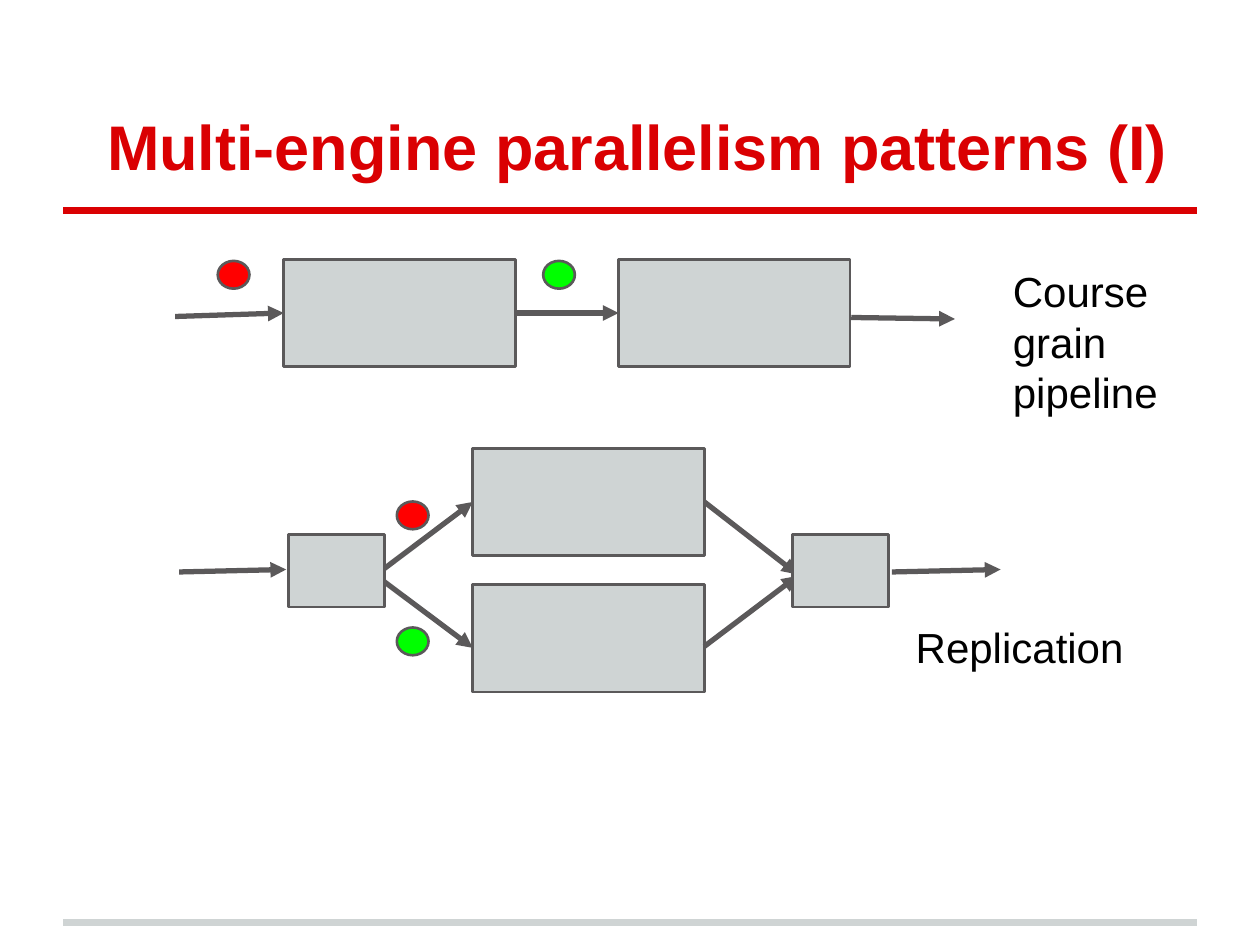
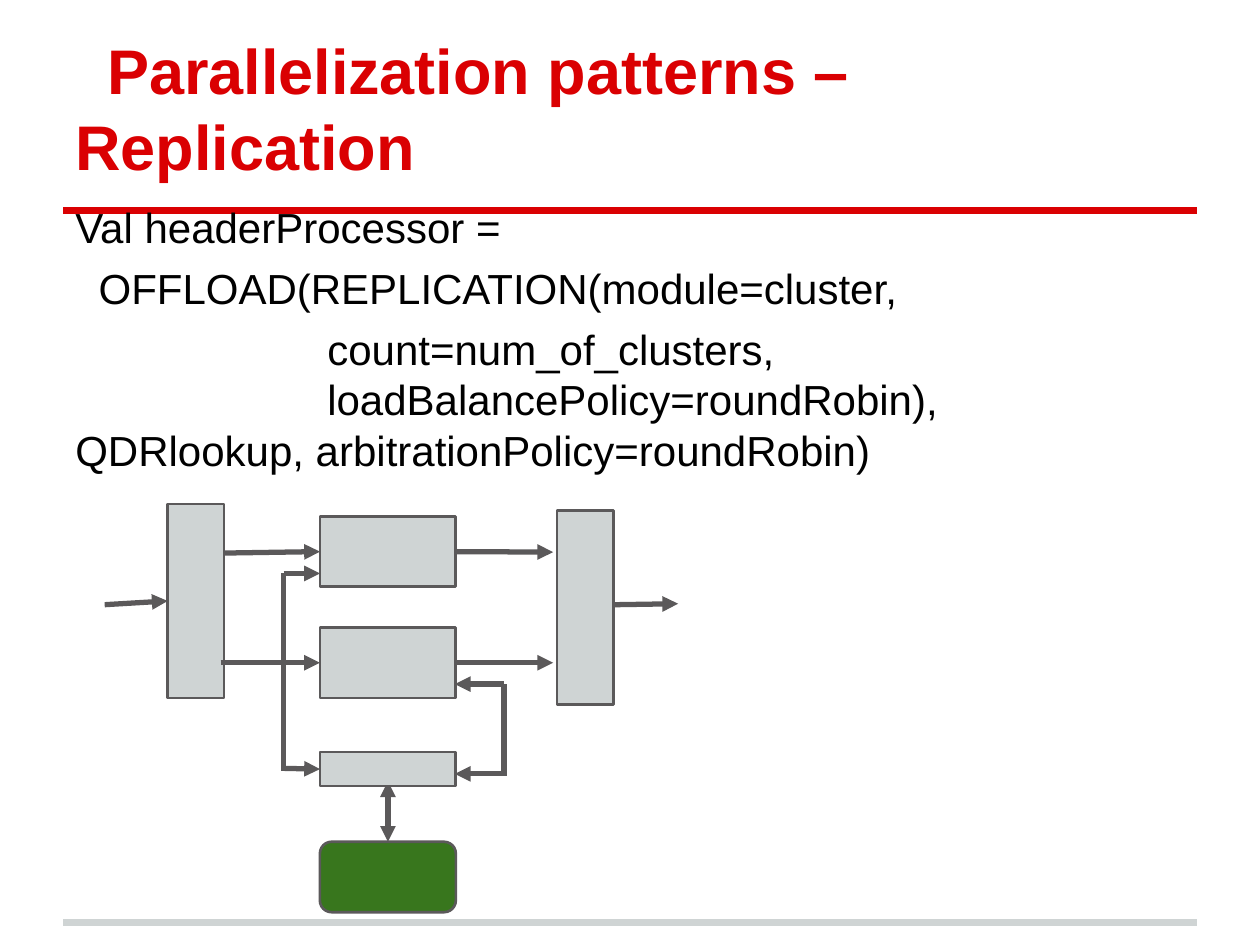
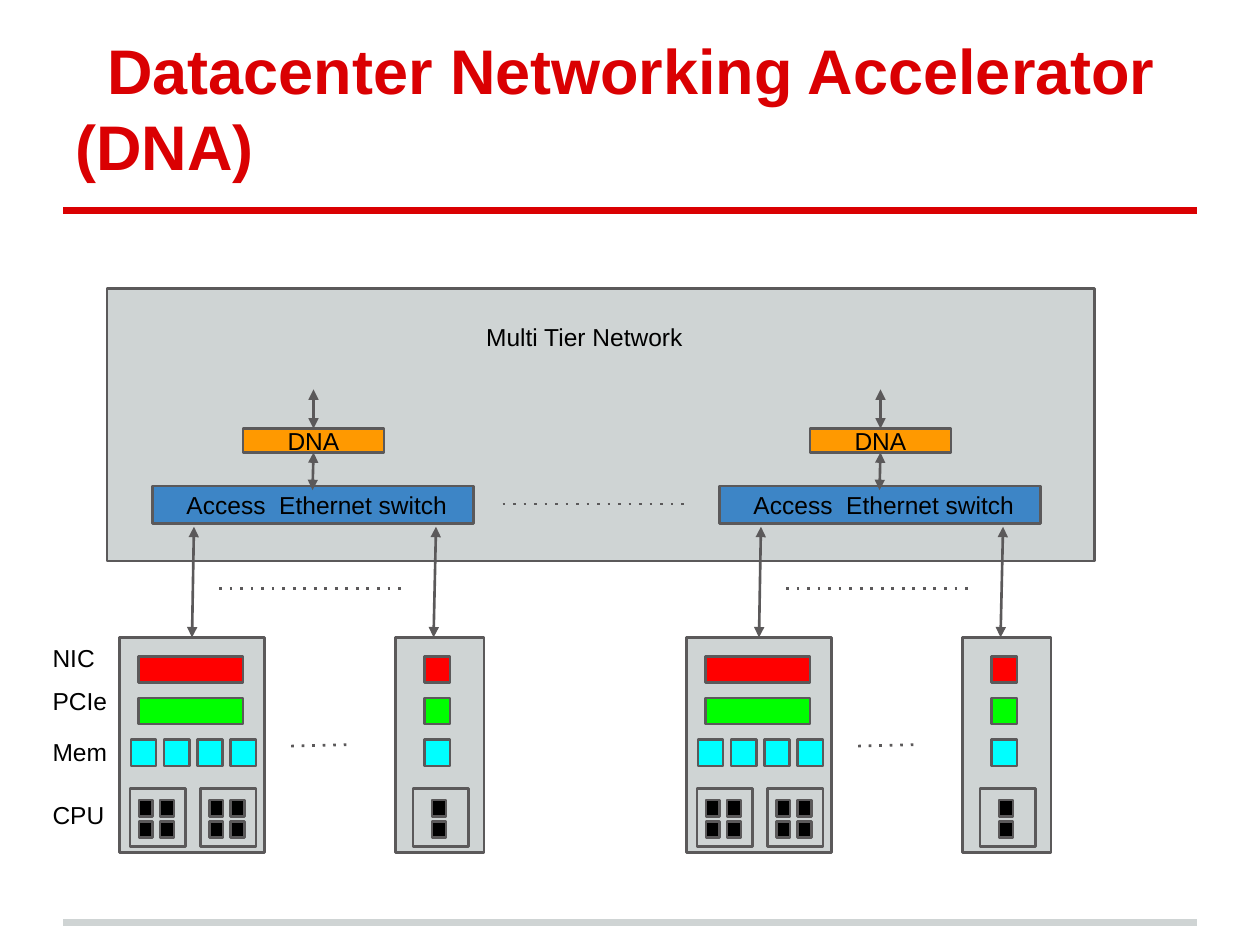
from pptx import Presentation
from pptx.dml.color import RGBColor
from pptx.enum.shapes import MSO_CONNECTOR, MSO_SHAPE
from pptx.enum.text import MSO_ANCHOR, PP_ALIGN
from pptx.oxml.ns import qn
from pptx.util import Cm, Pt
from lxml import etree

RECT, ROUNDED, OVAL = MSO_SHAPE.RECTANGLE, MSO_SHAPE.ROUNDED_RECTANGLE, MSO_SHAPE.OVAL
STRAIGHT = MSO_CONNECTOR.STRAIGHT
BOTTOM_ANCHOR, MIDDLE = MSO_ANCHOR.BOTTOM, MSO_ANCHOR.MIDDLE
CENTER = PP_ALIGN.CENTER
TOP, LEFT, BOTTOM, RIGHT = range(4)

FONT = "Arial"
TITLE_RED, GRAY, DARK, BLACK = "DA0002", "CFD4D4", "5B595A", "000000"
RED, GREEN, CYAN = "FF0000", "00FF00", "00FFFF"
ORANGE, BLUE, FOREST = "FF9900", "3D85C6", "38761D"


def rgb(value):
    return RGBColor.from_string(value)


class Deck:
    def __init__(self):
        self.prs = Presentation()
        self.prs.slide_width, self.prs.slide_height = Cm(25.4), Cm(19.05)
        self.s = None

    def new_slide(self, title):
        self.s = self.prs.slides.add_slide(self.prs.slide_layouts[6])
        for y, color in ((18.59, GRAY), (4.24, TITLE_RED)):
            self.line((1.27, y), (24.13, y), heads="", width=4, color=color)
        tf = self.text(1.27, 0.76, 22.86, 3.18, title, 36, TITLE_RED, inset=0.25)
        tf.vertical_anchor = BOTTOM_ANCHOR
        p = tf.paragraphs[0]
        p.font.bold = True
        p._p.get_or_add_pPr().set("indent", str(Cm(0.64)))

    def style(self, p, size, color):
        for r in p.runs:
            r.font.name, r.font.size = FONT, Pt(size)
            r.font.color.rgb = rgb(color)

    def text(self, x, y, w, h, text, size=24, color=BLACK, inset=0.13):
        """Add a text box; inset is the top and bottom margin in cm."""
        tf = self.s.shapes.add_textbox(Cm(x), Cm(y), Cm(w), Cm(h)).text_frame
        tf.word_wrap = True
        tf.margin_top = tf.margin_bottom = Cm(inset)
        tf.text = text
        for p in tf.paragraphs:
            self.style(p, size, color)
        return tf

    def label(self, x, y, w, h, text):
        self.text(x, y, w, h, text, 14, inset=0.25)

    def box(self, x, y, w, h, fill=GRAY, kind=RECT, text=""):
        sp = self.s.shapes.add_shape(kind, Cm(x), Cm(y), Cm(w), Cm(h))
        sp.shadow.inherit = False
        sp.fill.solid()
        sp.fill.fore_color.rgb = rgb(fill)
        sp.line.color.rgb = rgb(DARK)
        sp.line.width = Pt(1.5)
        if text:
            tf = sp.text_frame
            tf.margin_top = tf.margin_bottom = 0
            tf.vertical_anchor = MIDDLE
            tf.text = text
            tf.paragraphs[0].alignment = CENTER
            self.style(tf.paragraphs[0], 14, BLACK)
        return sp

    def line(self, start, end, heads="tail", width=3, color=DARK, dotted=False):
        """Join two ends, each an (x, y) in cm or a (shape, side) pair."""
        glued = [not isinstance(e[0], (int, float)) for e in (start, end)]
        points = [(0, 0) if g else e for g, e in zip(glued, (start, end))]
        c = self.s.shapes.add_connector(STRAIGHT, *(Cm(v) for pt in points for v in pt))
        if glued[0]:
            c.begin_connect(*start)
        if glued[1]:
            c.end_connect(*end)
        c.line.color.rgb = rgb(color)
        c.line.width = Pt(width)
        spPr = c._element.spPr
        ln = spPr.find(qn("a:ln"))
        if dotted:
            etree.SubElement(ln, qn("a:prstDash")).set("val", "dot")
        for name in ("head", "tail"):
            if name in heads:
                etree.SubElement(ln, qn(f"a:{name}End")).set("type", "triangle")
        etree.SubElement(spPr, qn("a:effectLst"))

    def dots(self, start, end):
        self.line(start, end, heads="", width=1.5, dotted=True)

    def link(self, start, end):
        self.line(start, end, heads="head tail", width=1.5)

    def server(self, x, w, bar_x, bar_w, memory_xs, socket_xs, core_offsets):
        """Draw a server with its NIC, PCIe, memory and CPU rows."""
        sp = self.box(x, 12.85, w, 4.34)
        for y, fill in ((13.23, RED), (14.07, GREEN)):
            self.box(bar_x, y, bar_w, 0.53, fill)
        for memory_x in memory_xs:
            self.box(memory_x, 14.91, 0.51, 0.53, CYAN)
        for socket_x in socket_xs:
            self.box(socket_x, 15.9, 1.12, 1.17)
            for dx in core_offsets:
                for y in (16.13, 16.56):
                    self.box(socket_x + dx, y, 0.28, 0.33, BLACK)
        return sp


def engine_patterns(d):
    d.new_slide("Multi-engine parallelism patterns (I)")
    first, second, upper, _ = [
        d.box(x, y, 4.67, 2.16)
        for x, y in ((5.72, 5.23), (12.47, 5.23), (9.53, 9.04), (9.53, 11.79))]
    d.line((3.53, 6.38), (first, LEFT))
    d.line((first, RIGHT), (second, LEFT))
    d.line((17.16, 6.4), (19.25, 6.43))

    d.line((3.61, 11.53), (5.77, 11.48))
    d.line((7.59, 11.58), (upper, LEFT))
    d.line((7.59, 11.61), (9.53, 13.06))
    d.line((upper, RIGHT), (16.08, 11.58))
    d.line((14.2, 13.03), (16.08, 11.61))
    d.line((17.98, 11.53), (20.17, 11.48))
    for x in (5.82, 15.98):
        d.box(x, 10.77, 1.93, 1.47)

    for x, y, fill in ((4.39, 5.26, RED), (10.95, 5.26, GREEN),
                       (8, 10.11, RED), (8, 12.65, GREEN)):
        d.box(x, y, 0.64, 0.56, fill, OVAL)
    d.text(20.17, 5.23, 4.19, 3.33, "Course grain pipeline")
    d.text(18.21, 12.4, 5.5, 1.27, "Replication")


def replication(d):
    d.new_slide("Parallelization patterns – Replication")
    code = ["Val headerProcessor =",
            "  OFFLOAD(REPLICATION(module=cluster,",
            "count=num_of_clusters,",
            "loadBalancePolicy=roundRobin),",
            "QDRlookup, arbitrationPolicy=roundRobin)"]
    tf = d.text(1.27, 3.81, 22.86, 14.43, "\n".join(code), inset=0.25)
    for p in tf.paragraphs[1:3]:
        p.space_before = Pt(6)
    for p in tf.paragraphs[2:4]:
        p._p.get_or_add_pPr().set("marL", str(Cm(5.08)))

    lookup = d.box(6.45, 16.97, 2.74, 1.42, FOREST, ROUNDED)
    d.line((7.82, 15.75), (lookup, TOP), heads="head tail")
    clusters = [d.box(6.45, y, 2.74, 1.42) for y in (10.41, 12.65)]
    d.line((4.45, 11.15), (clusters[0], LEFT))
    splitter = d.box(3.38, 10.16, 1.14, 3.91)
    d.line((2.11, 12.19), (splitter, LEFT))
    d.line((4.45, 13.36), (clusters[1], LEFT))
    arbiter = d.box(6.45, 15.16, 2.74, 0.69)

    d.line((5.72, 11.56), (6.45, 11.56))
    d.line((5.72, 11.56), (5.72, 15.54), heads="")
    d.line((5.74, 15.49), (arbiter, LEFT))
    for y in (13.79, 15.6):
        d.line((10.16, y), (9.17, y))
    d.line((10.16, 13.79), (10.16, 15.65), heads="")

    for cluster, y in zip(clusters, (11.13, 13.36)):
        d.line((cluster, RIGHT), (11.15, y))
    d.box(11.23, 10.29, 1.14, 3.91)
    d.line((12.4, 12.19), (13.67, 12.17))


def accelerator(d):
    d.new_slide("Datacenter Networking Accelerator (DNA)")
    d.box(2.16, 5.82, 19.91, 5.49)
    d.label(9.55, 6.25, 4.57, 0.79, "Multi Tier Network")
    d.dots((10.13, 10.16), (13.84, 10.16))
    for x in (0, 11.43):
        d.box(x + 3.07, 9.8, 6.48, 0.76, BLUE)
        d.label(x + 3.51, 9.63, 6.4, 0.64, "Access  Ethernet switch")
        dna = d.box(x + 4.9, 8.64, 2.84, 0.48, ORANGE, text="DNA")
        d.link((x + 6.32, 7.85), (dna, TOP))
        d.link((dna, BOTTOM), (x + 6.3, 9.88))

        large = d.server(x + 2.41, 2.92, x + 2.79, 2.11,
                         [x + 2.64 + 0.67 * i for i in range(4)],
                         (x + 2.62, x + 4.04), (0.18, 0.61))
        d.server(x + 7.98, 1.78, x + 8.56, 0.51, [x + 8.56], [x + 8.33], [0.38])
        d.link((large, TOP), (x + 3.91, 10.62))
        d.link((x + 8.74, 12.85), (x + 8.79, 10.62))
        d.dots((x + 4.42, 11.86), (x + 8.13, 11.86))
        d.dots((x + 5.87, 15.04), (x + 7.09, 15.01))
    for y, name in ((12.78, "NIC"), (13.64, "PCIe"), (14.68, "Mem"), (15.95, "CPU")):
        d.label(0.81, y, 1.9, 0.43, name)


def main():
    d = Deck()
    engine_patterns(d)
    replication(d)
    accelerator(d)
    d.prs.save("out.pptx")


if __name__ == "__main__":
    main()
